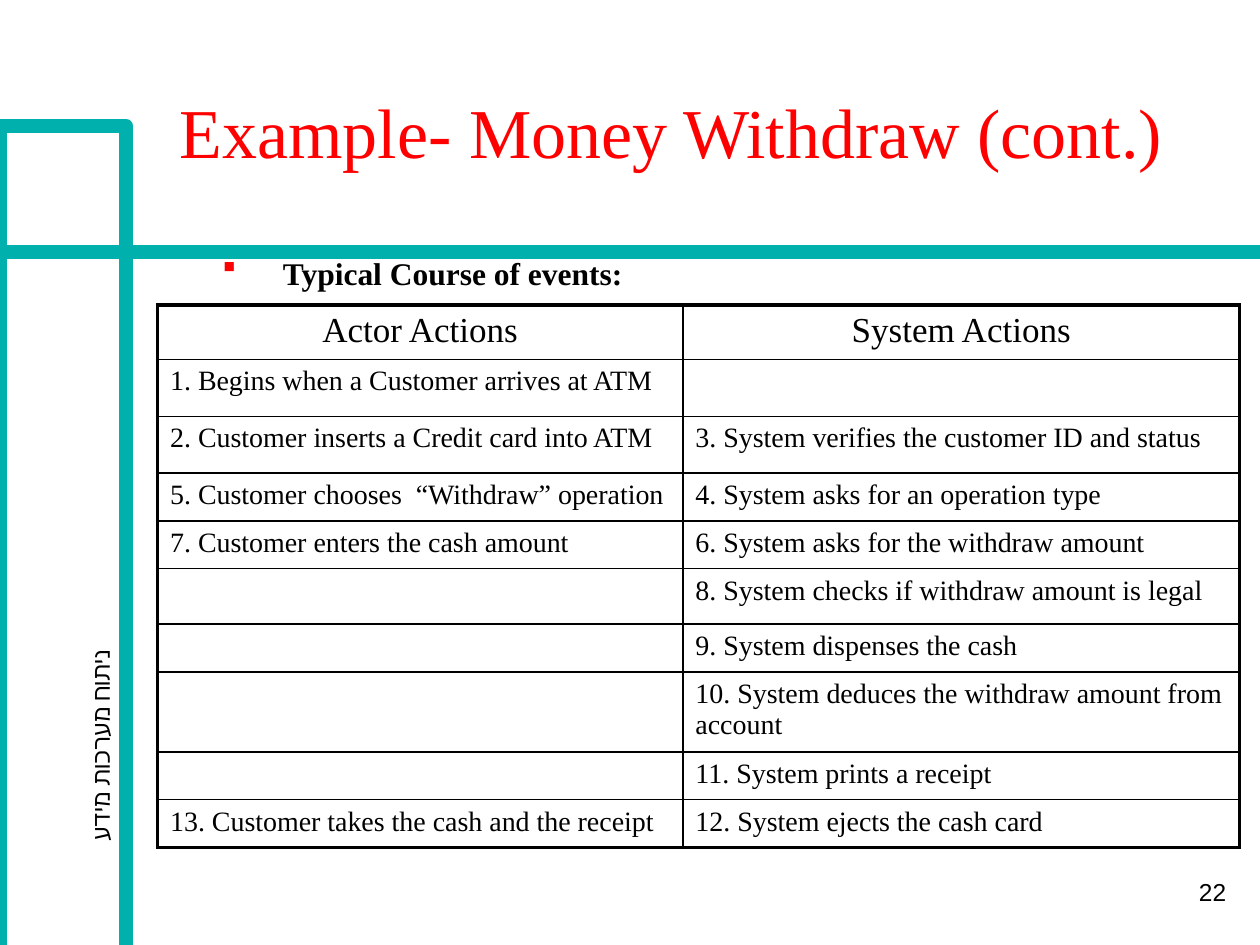
from lxml import etree
from pptx import Presentation
from pptx import util as u
from pptx.dml.color import RGBColor
from pptx.enum import text as t
from pptx.oxml import ns

TEAL = RGBColor(0x00, 0xB0, 0xAC)
RED = RGBColor(0xFF, 0x00, 0x00)
BLACK = RGBColor(0x00, 0x00, 0x00)
SERIF = "Times New Roman"
SANS = "Arial"
LEFT, MID, RIGHT = t.PP_ALIGN.LEFT, t.PP_ALIGN.CENTER, t.PP_ALIGN.RIGHT

FRAMES = [
    [(10.02, 1.86), (0.42, 1.86), (0.42, 7.5)],
    [(1.17, 7.5), (1.17, 0.68), (0.42, 0.68), (0.42, 1.52), (10.02, 1.52)],
]
COLS = [4.17, 4.42]
ROWS = [
    (0.43, "Actor Actions", "System Actions"),
    (0.45, "1. Begins when a Customer arrives at ATM", ""),
    (0.45, "2. Customer inserts a Credit card into ATM",
     "3. System verifies the customer ID and status"),
    (0.38, "5. Customer chooses  “Withdraw” operation",
     "4. System asks for an operation type"),
    (0.38, "7. Customer enters the cash amount",
     "6. System asks for the withdraw amount"),
    (0.44, "", "8. System checks if withdraw amount is legal"),
    (0.38, "", "9. System dispenses the cash"),
    (0.63, "", "10. System deduces the withdraw amount from account"),
    (0.38, "", "11. System prints a receipt"),
    (0.38, "13. Customer takes the cash and the receipt",
     "12. System ejects the cash card"),
]


def sub(node, tag, **attrs):
    """Append a child element such as a:round."""
    return etree.SubElement(node, ns.qn(tag), **attrs)


def write(par, words, size=16, font=SERIF, color=BLACK, bold=False, align=LEFT):
    """Add one formatted run to a paragraph."""
    par.alignment = align
    if not words:
        sub(par._p, "a:endParaRPr", sz=str(size * 100))
        return
    run = par.add_run()
    run.text = words
    run.font.size = u.Pt(size)
    run.font.name = font
    run.font.bold = bold
    run.font.color.rgb = color


def add_box(slide, at, anchor=t.MSO_ANCHOR.TOP, wrap=True, turn=0):
    """Add a text box and return its first paragraph."""
    box = slide.shapes.add_textbox(*map(u.Inches, at))
    box.rotation = turn
    frame = box.text_frame
    frame.word_wrap = wrap
    frame.vertical_anchor = anchor
    return frame.paragraphs[0]


def add_frame(slide, points):
    """Draw one open teal outline with round corners."""
    pen = slide.shapes.build_freeform(*points[0], scale=u.Inches(1))
    pen.add_line_segments(points[1:], close=False)
    shape = pen.convert_to_shape()
    shape.shadow.inherit = False
    shape.fill.background()
    shape.line.color.rgb = TEAL
    shape.line.width = u.Pt(8)
    sub(shape.line._get_or_add_ln(), "a:round")


def set_bullet(par):
    """Give a paragraph a red square bullet and a hanging indent."""
    props = par._p.get_or_add_pPr()
    props.set("marL", str(u.Inches(0.38)))
    props.set("indent", str(-u.Inches(0.38)))
    sub(sub(props, "a:buClr"), "a:srgbClr", val=str(RED))
    sub(props, "a:buSzPct", val="75000")
    sub(props, "a:buFont", typeface=SERIF)
    sub(props, "a:buChar", char="▪")


def set_edges(cell, thick):
    """Draw the four borders, with the named sides thick."""
    props = cell._tc.get_or_add_tcPr()
    for side in "LRTB":
        width = u.Pt(2.25 if side in thick else 1)
        line = sub(props, "a:ln" + side, w=str(width))
        sub(sub(line, "a:solidFill"), "a:srgbClr", val=str(BLACK))


def add_grid(slide):
    """Add the table of actor and system actions."""
    last = len(ROWS) - 1
    spot = map(u.Inches, (1.25, 2.42, sum(COLS), sum(r[0] for r in ROWS)))
    table = slide.shapes.add_table(len(ROWS), len(COLS), *spot).table
    table.first_row = table.horz_banding = False
    for col, width in zip(table.columns, COLS):
        col.width = u.Inches(width)
    for i, (height, *words) in enumerate(ROWS):
        table.rows[i].height = u.Inches(height)
        for j, item in enumerate(words):
            cell = table.cell(i, j)
            top = "T" if i == 0 else ""
            base = "B" if i == last else ""
            set_edges(cell, "LR"[j] + top + base)
            cell.fill.background()
            write(cell.text_frame.paragraphs[0], item,
                  size=16 if i else 20, align=LEFT if i else MID)


def main():
    """Build the slide and save it."""
    deck = Presentation()
    deck.slide_width, deck.slide_height = u.Inches(10), u.Inches(7.5)
    slide = deck.slides.add_slide(deck.slide_layouts[6])
    for points in FRAMES:
        add_frame(slide, points)
    side = add_box(slide, (-0.79, 5.67, 3.17, 0.5), t.MSO_ANCHOR.MIDDLE, False, 270)
    write(side, "ניתוח מערכות מידע", size=14, font=SANS, align=MID)
    page = add_box(slide, (7.75, 6.83, 2.08, 0.5), t.MSO_ANCHOR.MIDDLE)
    write(page, "22", size=14, font=SANS, align=RIGHT)
    title = add_box(slide, (1.33, 0.23, 8.5, 1.19), t.MSO_ANCHOR.BOTTOM)
    write(title, "Example- Money Withdraw (cont.)", size=40, color=RED)
    head = add_box(slide, (1.67, 1.83, 7.75, 0.67))
    head.space_before = u.Pt(3)
    set_bullet(head)
    write(head, " ", size=28)
    write(head, "Typical Course of events:", size=18, bold=True)
    add_grid(slide)
    deck.save("out.pptx")


main()
